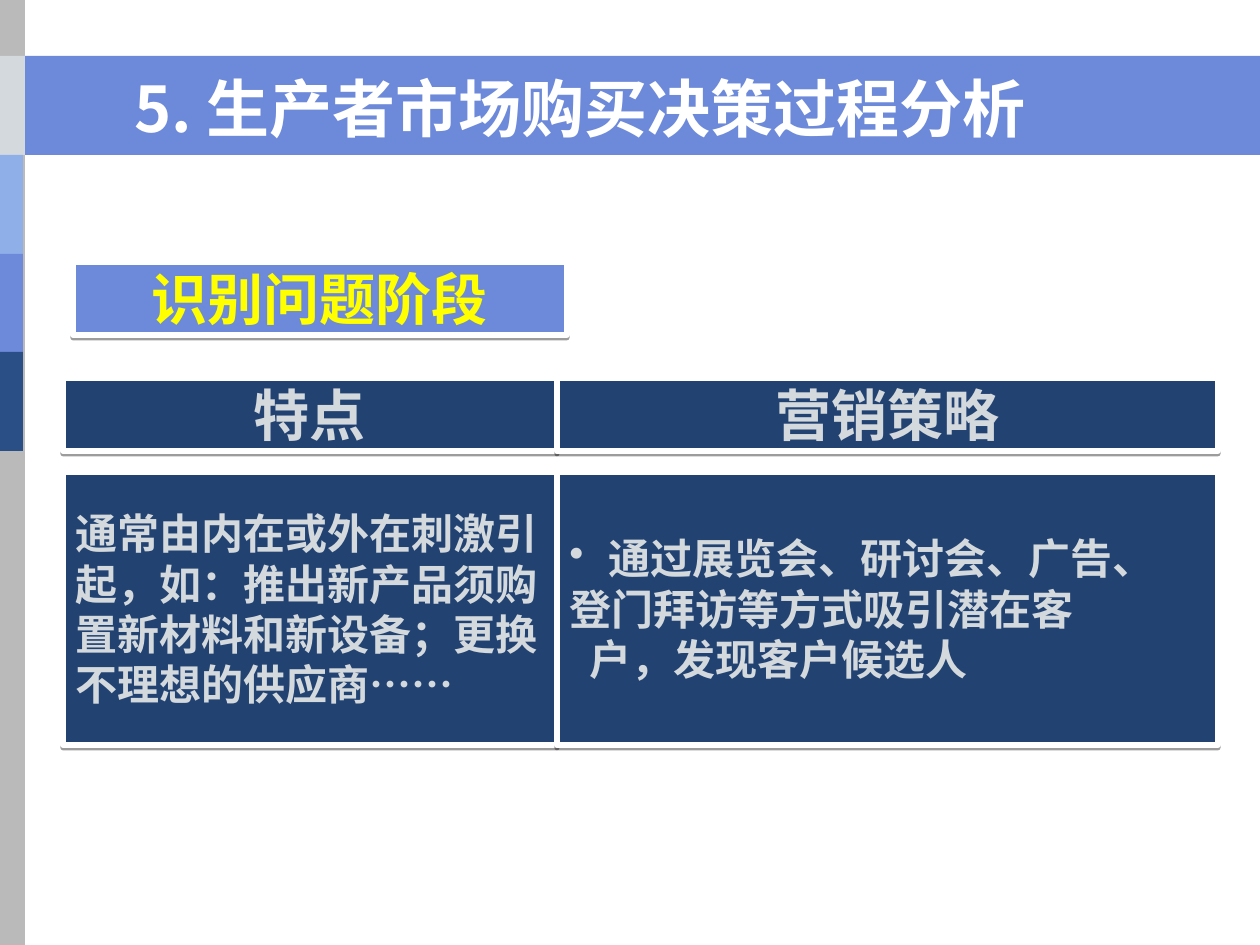
from pptx import Presentation
from pptx.dml.color import RGBColor
from pptx.enum.shapes import MSO_SHAPE
from pptx.enum.text import MSO_ANCHOR, PP_ALIGN
from pptx.oxml.ns import qn
from pptx.util import Emu, Pt
from lxml import etree

RECTANGLE = MSO_SHAPE.RECTANGLE
MIDDLE, BOTTOM = MSO_ANCHOR.MIDDLE, MSO_ANCHOR.BOTTOM
LEFT, CENTER = PP_ALIGN.LEFT, PP_ALIGN.CENTER
SCALE = 914400 / 126
HAN_FONT, LATIN_FONT = "Noto Sans CJK SC", "Times New Roman"
COLORS = {
    "white": "FFFFFF", "gray": "BABABA", "pale": "D3D9DD", "sky": "8FAFE9",
    "blue": "6C89DA", "deep": "2A4F86", "navy": "224272", "yellow": "FFFF00",
    "black": "000000",
}


def px(length):
    return Emu(round(length * SCALE))


def color(name):
    return RGBColor.from_string(COLORS[name])


def add_rectangle(page, box, fill):
    shape = page.shapes.add_shape(RECTANGLE, *map(px, box))
    shape.shadow.inherit = False
    shape.fill.solid()
    shape.fill.fore_color.rgb = color(fill)
    shape.line.fill.background()
    return shape


def add_shadow(shape):
    effects = shape._element.spPr.find(qn("a:effectLst"))
    shadow = etree.SubElement(effects, qn("a:outerShdw"), dist="20320",
                              dir="5400000", rotWithShape="0")
    tint = etree.SubElement(shadow, qn("a:srgbClr"), val=COLORS["black"])
    etree.SubElement(tint, qn("a:alpha"), val="38000")


def write_line(para, text, size=24, ink="pale", font=LATIN_FONT, align=LEFT,
               indent=0, bullet=False, spacing=None):
    para.alignment = align
    if spacing:
        para.line_spacing = spacing
    settings = para._p.get_or_add_pPr()
    settings.set("marL", str(px(indent)))
    settings.set("indent", str(-px(indent) if bullet else 0))
    if bullet:
        etree.SubElement(settings, qn("a:buChar"), char="•")
    span = para.add_run()
    span.text = text
    span.font.name = font
    span.font.size = Pt(size)
    span.font.bold = True
    span.font.color.rgb = color(ink)
    etree.SubElement(span._r.get_or_add_rPr(), qn("a:ea"), typeface=HAN_FONT)


def write_lines(frame, lines, **style):
    for index, (text, extra) in enumerate(lines):
        para = frame.add_paragraph() if index else frame.paragraphs[0]
        write_line(para, text, **style, **extra)


def add_panel(page, box, lines, fill="navy", **style):
    panel = add_rectangle(page, box, fill)
    panel.line.color.rgb = color("white")
    panel.line.width = Pt(3)
    add_shadow(panel)
    panel.text_frame.word_wrap = False
    panel.text_frame.vertical_anchor = MIDDLE
    write_lines(panel.text_frame, lines, **style)


def add_frame(page, left, top, width, height):
    """Title band and the color strip down the left edge."""
    band_top, band = top + 56, 99
    add_rectangle(page, (left, band_top, width, band), "blue")
    add_rectangle(page, (left - 1, top, 26, height), "gray")
    add_rectangle(page, (left, band_top, 25, band), "pale")
    for y, fill in ((155, "sky"), (254, "blue"), (352, "deep")):
        add_rectangle(page, (left - 2, top + y, 25, band), fill)


def add_title(page, box, text):
    title = page.shapes.add_textbox(*map(px, box))
    title.text_frame.word_wrap = True
    title.text_frame.vertical_anchor = BOTTOM
    write_line(title.text_frame.paragraphs[0], text, size=36, ink="white",
               font=HAN_FONT)


def add_stage(page, left, top, columns):
    """Two columns, each with a heading panel above a body panel."""
    for heading, width, lines in columns:
        add_panel(page, (left, top, width, 73), [(heading, {})],
                  size=32, align=CENTER)
        add_panel(page, (left, top + 94, width, 273), lines)
        left += width


def main():
    deck = Presentation()
    deck.slide_width, deck.slide_height = px(1260), px(945)
    page = deck.slides.add_slide(deck.slide_layouts[6])

    add_frame(page, 0, 0, 1260, 945)
    add_title(page, (122, 63, 1033, 88), "5. 生产者市场购买决策过程分析")
    add_panel(page, (73, 262, 494, 73), [("识别问题阶段", {})],
              fill="blue", size=32, ink="yellow", align=CENTER)

    traits = [(text, {}) for text in (
        "通常由内在或外在刺激引", "起，如：推出新产品须购",
        "置新材料和新设备；更换", "不理想的供应商……")]
    strategies = [
        ("通过展览会、研讨会、广告、", {"indent": 39, "bullet": True}),
        ("登门拜访等方式吸引潜在客", {}),
        ("户，发现客户候选人", {"indent": 20}),
    ]
    add_stage(page, 63, 378, [("特点", 494, traits),
                              ("营销策略", 661, strategies)])
    deck.save("out.pptx")


if __name__ == "__main__":
    main()
